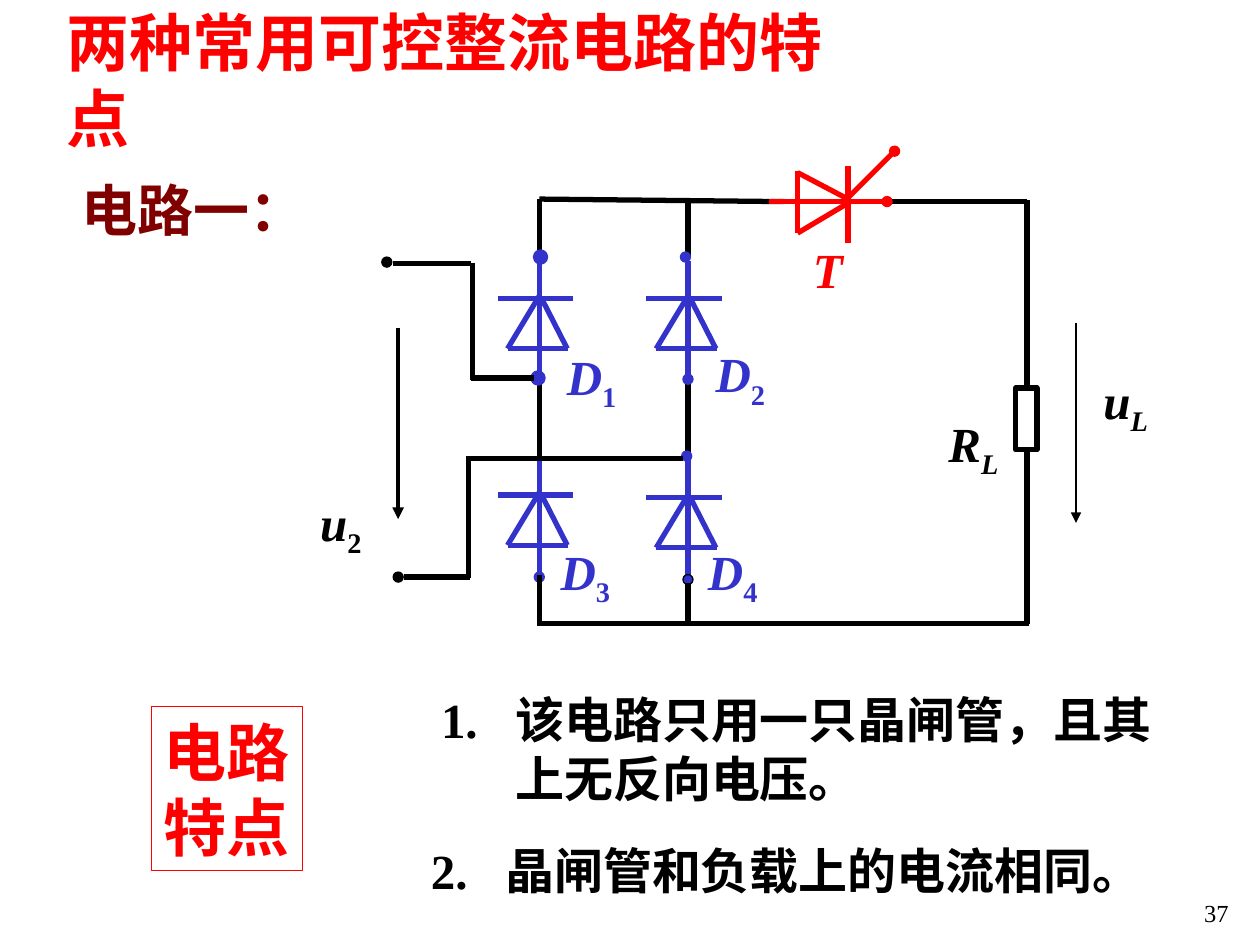
from dataclasses import dataclass

from lxml import etree
from pptx import Presentation
from pptx import util as u
from pptx.dml.color import RGBColor
from pptx.enum import lang, shapes, text
from pptx.oxml.ns import qn

BLACK = RGBColor(0, 0, 0)
WHITE = RGBColor(255, 255, 255)
RED = RGBColor(255, 0, 0)
MAROON = RGBColor(128, 0, 0)
BLUE = RGBColor(0x33, 0x33, 0xCC)
FONT = "Times New Roman"


@dataclass
class Box:
    left: float
    top: float
    width: float
    height: float
    columns: float = 1
    rows: float = 1

    def point(self, column, row):
        return (u.Inches(self.left + self.width * column / self.columns),
                u.Inches(self.top + self.height * row / self.rows))

    def area(self, column, row, width, height, columns=1, rows=1):
        return Box(self.left + self.width * column / self.columns,
                   self.top + self.height * row / self.rows,
                   self.width * width / self.columns,
                   self.height * height / self.rows, columns, rows)

    def lengths(self):
        return [u.Inches(value) for value in (self.left, self.top, self.width, self.height)]


def place(shape, box):
    shape.left, shape.top, shape.width, shape.height = box.lengths()


def add_run(paragraph, content, size=28, color=BLACK, bold=True, italic=False, subscript=False):
    run = paragraph.add_run()
    run.text = content
    font = run.font
    font.name, font.size, font.bold, font.italic = FONT, u.Pt(size), bold, italic
    font.color.rgb = color
    font.language_id = lang.MSO_LANGUAGE_ID.SIMPLIFIED_CHINESE
    if subscript:
        run._r.get_or_add_rPr().set("baseline", "-25000")


def write(frame, lines, align=text.PP_ALIGN.LEFT, anchor=text.MSO_ANCHOR.MIDDLE, wrap=False, **style):
    frame.word_wrap, frame.auto_size = wrap, text.MSO_AUTO_SIZE.NONE
    frame.vertical_anchor = anchor
    for index, line_text in enumerate(lines):
        paragraph = frame.paragraphs[0] if index == 0 else frame.add_paragraph()
        paragraph.alignment = align
        add_run(paragraph, line_text, **style)
    return frame


def label(slide, box, content, subscript="", align=text.PP_ALIGN.CENTER, **style):
    shape = slide.shapes.add_textbox(*box.lengths())
    frame = write(shape.text_frame, [content], align, **style)
    if subscript:
        color = style.get("color", BLACK)
        add_run(frame.paragraphs[0], subscript, color=color, italic=subscript.isalpha(), subscript=True)


def line(slide, box, start, end, color=BLACK, width=3, arrow=False):
    connector = slide.shapes.add_connector(
        shapes.MSO_CONNECTOR.STRAIGHT, *box.point(*start), *box.point(*end))
    connector.line.color.rgb, connector.line.width = color, u.Pt(width)
    properties = connector._element.spPr
    if arrow:
        etree.SubElement(properties.find(qn("a:ln")), qn("a:tailEnd"), type="triangle")
    etree.SubElement(properties, qn("a:effectLst"))


def outline(slide, kind, box, fill, color, width):
    shape = slide.shapes.add_shape(kind, *box.lengths())
    shape.shadow.inherit = False
    if fill is None:
        shape.fill.background()
    else:
        shape.fill.solid()
        shape.fill.fore_color.rgb = fill
    shape.line.color.rgb, shape.line.width = color, u.Pt(width)
    return shape


def dot(slide, box, center, color, edge=None, width=0.75):
    column, row = center
    outline(slide, shapes.MSO_SHAPE.OVAL, box.area(column - 0.4, row - 0.4, 0.8, 0.8),
            color, edge or color, width)


def diode(slide, box):
    for start, end in (((0, 0.32), (1, 0.32)), ((0.55, 0.3), (0.13, 0.75)),
                       ((0.13, 0.75), (0.93, 0.75)), ((0.58, 0.32), (0.92, 0.75)),
                       ((0.55, 0), (0.55, 1))):
        line(slide, box, start, end, BLUE)


def thyristor(slide, box):
    for start, end in (((6.3, 7.7), (6.3, 1.6)), ((6.5, 4.4), (2.3, 6.9)),
                       ((2.3, 6.9), (2.3, 2)), ((6.3, 4.2), (2.3, 2.1)),
                       ((9.2, 4.4), (0, 4.4)), ((6.3, 4.1), (9.8, 0.6))):
        line(slide, box, start, end, RED)
    for center in ((9.4, 4.4), (10, 0.4)):
        dot(slide, box, center, RED)


def circuit(slide, box):
    left, right, load = 18.8, 30.6, 57.5
    for start, end in (((left, 4.8), (left, 9.2)), ((left, 4.8), (38.2, 5)),
                       ((right, 4.8), (right, 9.5)), ((left, 19), (left, 25.3)),
                       ((right, 18.8), (right, 25.8))):
        line(slide, box, start, end)

    for number, column, row, label_column, label_row in (
            (1, 15.5, 9.7, 20, 16), (2, 27.3, 9.7, 31.8, 15.8),
            (3, 15.5, 25.3, 19.5, 31.5), (4, 27.3, 25.5, 31.2, 31.5)):
        diode(slide, box.area(column, row, 6, 9.3))
        label(slide, box.area(label_column, label_row, 5.9, 6.3), "D", str(number),
              color=BLUE, italic=True)
    for center, edge, width in (
            ((18.9, 9.4), BLUE, 3), ((18.7, 19), BLUE, 3), ((left, 34.8), BLUE, 0.75),
            ((30.4, 9.4), BLUE, 0.75), ((right, 19.1), BLUE, 0.75),
            ((30.5, 25.2), BLUE, 0.75), ((right, 35), BLACK, 0.75)):
        dot(slide, box, center, BLUE, edge, width)

    for start, end in (((left, 34.6), (left, 38.7)), ((right, 35.3), (right, 38.5)),
                       ((18.9, 38.5), (57.7, 38.5)), ((18.4, 19), (13.4, 19)),
                       ((30.2, 25.4), (13, 25.4)), ((13.5, 9.9), (13.5, 19.2)),
                       ((13.4, 9.9), (7.2, 9.9)), ((8.1, 34.8), (13.3, 34.8)),
                       ((13.2, 25.5), (13.2, 34.9)), ((46.8, 5), (load, 5)),
                       ((load, 4.9), (load, 38.5))):
        line(slide, box, start, end)
    for center in ((6.7, 9.8), (7.6, 34.8)):
        dot(slide, box, center, BLACK)

    thyristor(slide, box.area(37, 0.6, 10.4, 7.7, 10.4, 7.7))
    outline(slide, shapes.MSO_SHAPE.RECTANGLE, box.area(56.6, 19.8, 1.7, 4.9), WHITE, BLACK, 3)
    line(slide, box, (7.6, 15), (7.6, 30.2), width=2.25, arrow=True)
    line(slide, box, (61.4, 14.6), (61.4, 30.5), width=0.75, arrow=True)
    label(slide, box.area(39.5, 7.5, 4.4, 5.7), "T", color=RED, italic=True)
    for content, subscript, column, row, width in (
            ("u", "2", 0.4, 27.6, 5.3), ("u", "L", 62.6, 17.9, 5.5), ("R", "L", 50.3, 21.3, 5.9)):
        label(slide, box.area(column, row, width, 6.3), content, subscript, italic=True)


def heading(slide, box):
    place(slide.shapes.title, box)
    write(slide.shapes.title.text_frame, ["两种常用可控整流电路的特点"], size=36, color=RED)


def feature_tag(slide, box):
    shape = outline(slide, shapes.MSO_SHAPE.RECTANGLE, box, None, RED, 0.75)
    write(shape.text_frame, ["电路", "特点"], text.PP_ALIGN.CENTER, size=36, color=RED)


def feature_list(slide, box):
    body = slide.placeholders[1]
    place(body, box)
    frame = write(body.text_frame, ["1.\t该电路只用一只晶闸管，且其上无反向电压。",
                                    "2.\t晶闸管和负载上的电流相同。"],
                  anchor=text.MSO_ANCHOR.TOP, wrap=True)
    hanging = u.Inches(0.59)
    for paragraph, shift, gap in zip(frame.paragraphs, (0.08, 0), (0, 19)):
        properties = paragraph._p.get_or_add_pPr()
        properties.set("marL", str(hanging + u.Inches(shift)))
        properties.set("indent", str(-hanging))
        etree.SubElement(properties, qn("a:buNone"))
        paragraph.space_before = u.Pt(gap)


def main():
    presentation = Presentation()
    presentation.slide_width, presentation.slide_height = u.Inches(10), u.Inches(7.5)
    slide = presentation.slides.add_slide(presentation.slide_layouts[1])
    heading(slide, Box(0.43, 0.28, 6.7, 0.7))
    feature_tag(slide, Box(1.2, 5.61, 1.2, 1.3))
    feature_list(slide, Box(3.32, 5.42, 6.04, 1.78))
    label(slide, Box(0.55, 1.34, 1.98, 0.64), "电路一：", size=32, color=MAROON)
    circuit(slide, Box(2.4, 1.1, 7, 4, 70, 40))
    label(slide, Box(7.77, 7.08, 2.08, 0.5), "37", align=text.PP_ALIGN.RIGHT,
          anchor=text.MSO_ANCHOR.TOP, wrap=True, size=14, bold=False)
    presentation.save("out.pptx")


if __name__ == "__main__":
    main()
